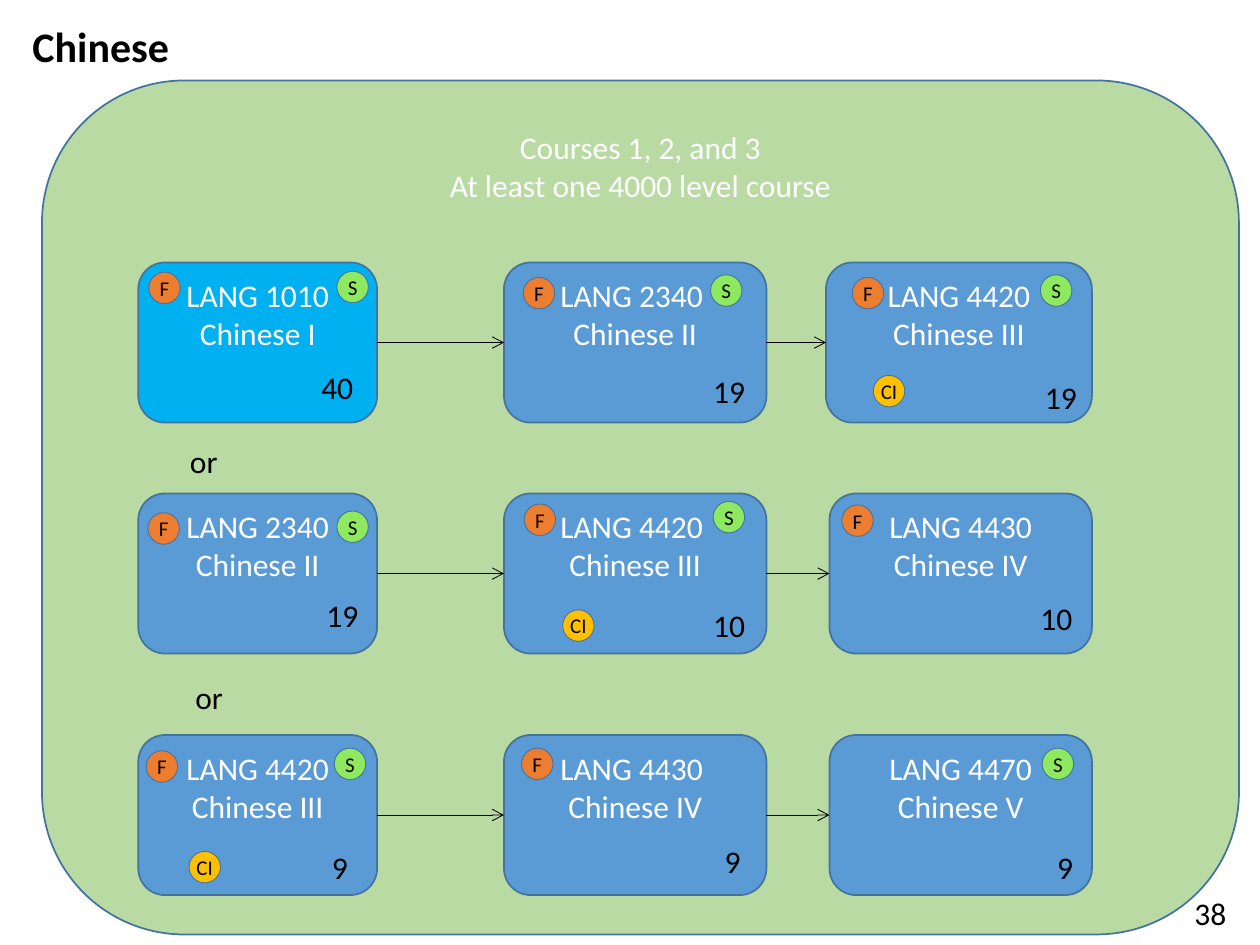
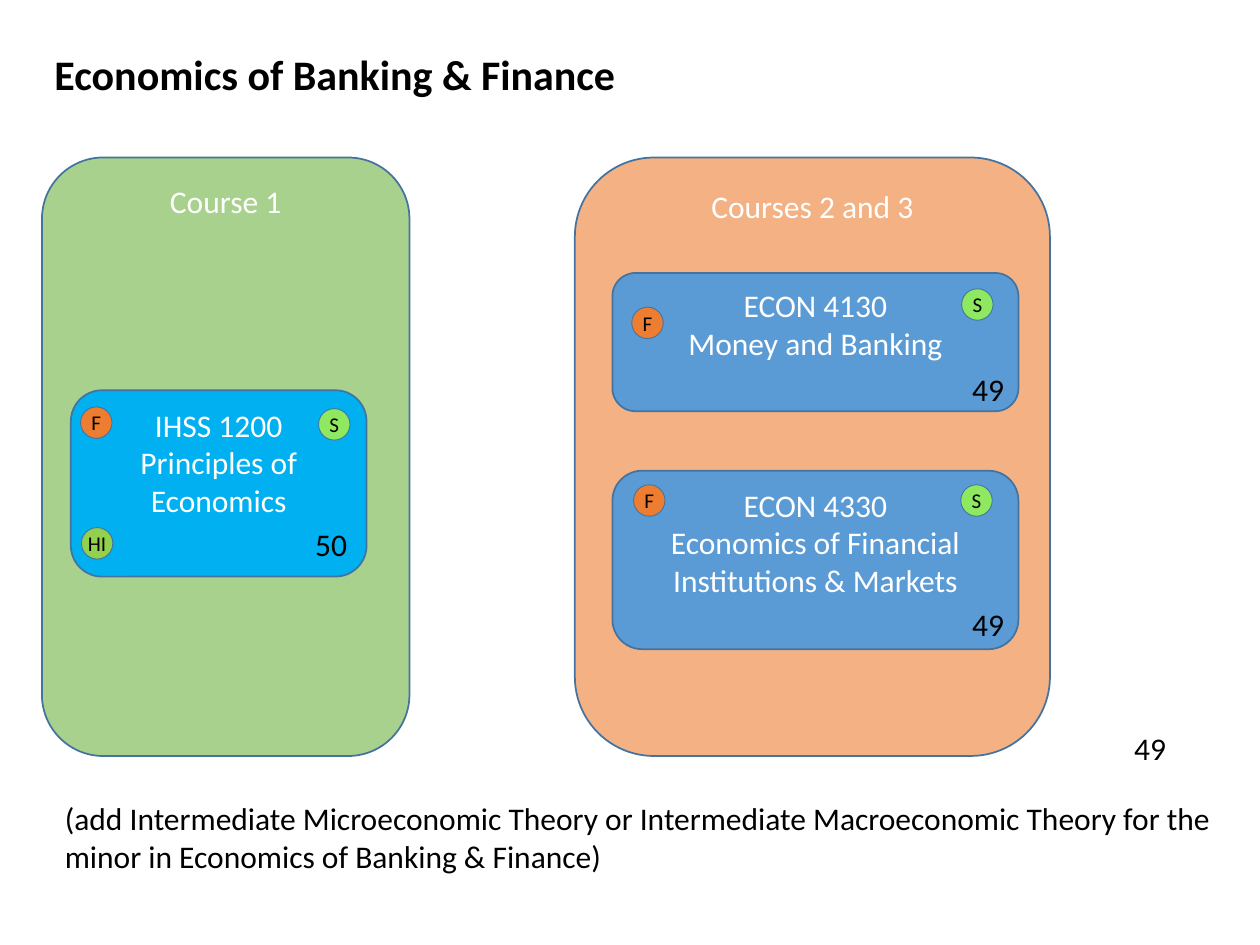
from pptx import Presentation
from pptx.dml.color import RGBColor
from pptx.enum.shapes import MSO_CONNECTOR as LINE, MSO_SHAPE as SHAPE
from pptx.enum.text import MSO_ANCHOR as ANCHOR, MSO_AUTO_SIZE as FIT, PP_ALIGN as ALIGN
from pptx.oxml.ns import qn
from pptx.util import Pt
from lxml.etree import SubElement

FONT = "Calibri"
BLACK = RGBColor(0x00, 0x00, 0x00)
WHITE = RGBColor(0xFF, 0xFF, 0xFF)
EDGE = RGBColor(0x43, 0x73, 0x9E)
GREEN = RGBColor(0xA9, 0xD1, 0x8E)
PEACH = RGBColor(0xF4, 0xB1, 0x83)
CYAN = RGBColor(0x00, 0xB0, 0xF0)
BLUE = RGBColor(0x5B, 0x9B, 0xD5)
BADGE = {
    "F": RGBColor(0xED, 0x7D, 0x31),
    "S": RGBColor(0x8E, 0xE9, 0x61),
    "CI": RGBColor(0xFF, 0xC0, 0x00),
    "HI": RGBColor(0x92, 0xD0, 0x50),
}
WIDTH = {"9": 24, "or": 30}  # other labels are two digits wide


def add_box(slide, place, fill, text, badge=False):
    """Draw a rounded box with white text at its top, or a small round badge."""
    kind = SHAPE.OVAL if badge else SHAPE.ROUNDED_RECTANGLE
    box = slide.shapes.add_shape(kind, *map(Pt, place))
    box.shadow.inherit = False
    box.fill.solid()
    box.fill.fore_color.rgb = fill
    box.line.color.rgb = EDGE
    box.line.width = Pt(0.5 if badge else 1)
    frame = box.text_frame
    frame.word_wrap = not badge
    frame.vertical_anchor = ANCHOR.MIDDLE if badge else ANCHOR.TOP
    if badge:
        frame.margin_left = frame.margin_right = 0
        frame.margin_top = frame.margin_bottom = 0
    frame.text = text
    for para in frame.paragraphs:
        para.alignment = ALIGN.CENTER
        para.font.name = FONT
        para.font.size = Pt(12 if badge else 18)
        para.font.color.rgb = BLACK if badge else WHITE
    return box


def add_label(slide, place, text, size=18, bold=False, wrap=False):
    label = slide.shapes.add_textbox(*map(Pt, place))
    frame = label.text_frame
    frame.word_wrap = wrap
    frame.auto_size = FIT.SHAPE_TO_FIT_TEXT
    frame.text = text
    font = frame.paragraphs[0].font
    font.name, font.size, font.bold = FONT, Pt(size), bold
    font.color.rgb = BLACK


deck = Presentation()
deck.slide_width, deck.slide_height = Pt(720), Pt(540)
blank = deck.slide_layouts[6]

# Chinese: three sequences of three courses
chinese = deck.slides.add_slide(blank)
panel = add_box(chinese, (24, 46, 684, 488), GREEN,
                "Courses 1, 2, and 3\nAt least one 4000 level course")
tint = panel.fill._xPr.find(qn("a:solidFill"))[0]
SubElement(tint, qn("a:alpha")).set("val", "80000")
add_label(chinese, (11.5, 8, 94, 36), "Chinese", 24, True)

rows = [
    (150, 472, ["LANG 1010\nChinese I", "LANG 2340 \nChinese II", "LANG 4420\nChinese III"]),
    (282, 474, ["LANG 2340\nChinese II", "LANG 4420 \nChinese III", "LANG 4430\nChinese IV"]),
    (420, 474, ["LANG 4420\nChinese III", "LANG 4430 \nChinese IV", "LANG 4470\nChinese V"]),
]
for top, third, names in rows:
    spans = [(79, 215.5), (288, 438), (third, 624)]
    last = None
    for (left, right), name in zip(spans, names):
        fill = CYAN if "1010" in name else BLUE
        box = add_box(chinese, (left, top, right - left, 91.5), fill, name)
        if last:
            arrow = chinese.shapes.add_connector(LINE.STRAIGHT, 0, 0, 0, 0)
            arrow.begin_connect(last, 3)
            arrow.end_connect(box, 1)
            arrow.line.color.rgb = BLACK
            arrow.line.width = Pt(0.5)
            SubElement(arrow.line._get_or_add_ln(), qn("a:tailEnd")).set("type", "arrow")
            SubElement(arrow._element.spPr, qn("a:effectLst"))
        last = box

# Economics of Banking & Finance: two groups of courses
econ = deck.slides.add_slide(blank)
add_label(econ, (24, 24, 338, 36), "Economics of Banking & Finance", 24, True)
for place, fill, text in [
    ((328.5, 90, 271.5, 342), PEACH, "Courses 2 and 3"),
    ((350, 156, 232, 79), BLUE, "ECON 4130\nMoney and Banking"),
    ((350, 269, 232, 102), BLUE,
     "ECON 4330\nEconomics of Financial Institutions & Markets"),
    ((24, 90, 210, 342), GREEN, "Course 1"),
    ((40.5, 223, 169, 106.5), CYAN, "IHSS 1200\nPrinciples of Economics"),
]:
    add_box(econ, place, fill, text)
add_label(econ, (30, 453, 684, 51),
          "(add Intermediate Microeconomic Theory or Intermediate Macroeconomic Theory "
          "for the minor in Economics of Banking & Finance)", wrap=True)

# Badges and seat counts, by slide and then by text
badges = [
    (chinese, {
        "F": [(85, 155.5), (299, 158.5), (487, 158.5), (84.5, 293), (299.5, 288),
              (481, 288.5), (83.5, 429), (298, 427.5)],
        "S": [(192.5, 155), (406, 157), (594.5, 157), (192.5, 292), (407.5, 286.5),
              (191, 427.5), (595.5, 427.5)],
        "CI": [(499, 214.5), (321.5, 348.5), (108, 486.5)],
    }),
    (econ, {
        "F": [(46, 232.5), (361, 175.5), (362, 277)],
        "S": [(182, 233.5), (549.5, 165), (549, 277)],
        "HI": [(46.5, 301.5)],
    }),
]
for slide, marks in badges:
    for text, spots in marks.items():
        for x, y in spots:
            add_box(slide, (x, y, 18, 18), BADGE[text], text, badge=True)

labels = [
    (chinese, {
        "40": [(176.5, 206.5)],
        "19": [(400.5, 209), (590, 212.5), (179.5, 337)],
        "10": [(400.5, 342.5), (587.5, 339)],
        "9": [(182.5, 481), (407, 477.5), (597, 481)],
        "or": [(101.5, 249), (104.5, 384)],
        "38": [(675.5, 507.5)],
    }),
    (econ, {
        "49": [(548.5, 342), (548.5, 208), (641, 413)],
        "50": [(173, 296.5)],
    }),
]
for slide, texts in labels:
    for text, spots in texts.items():
        for x, y in spots:
            add_label(slide, (x, y, WIDTH.get(text, 33), 29), text)

deck.save("out.pptx")
